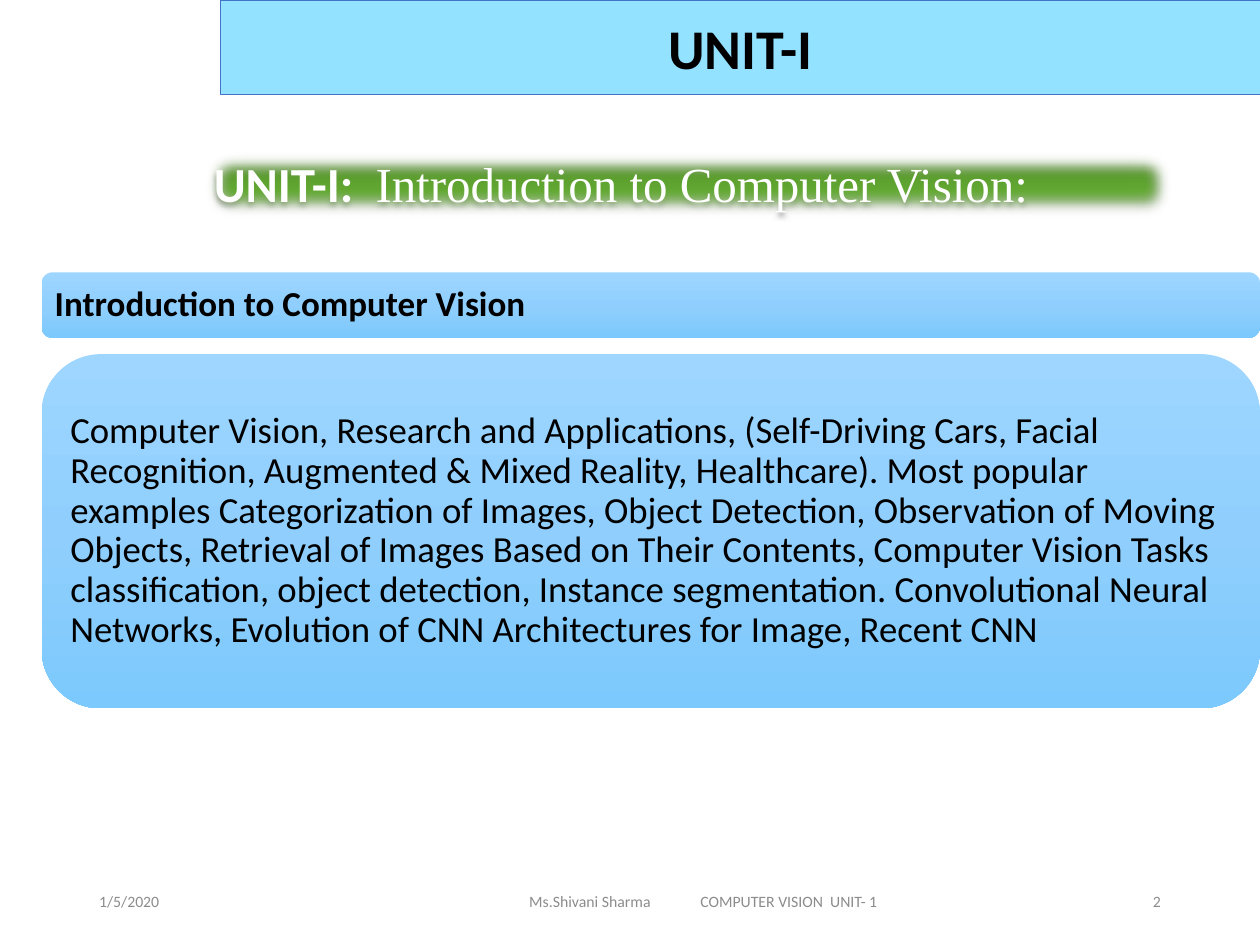
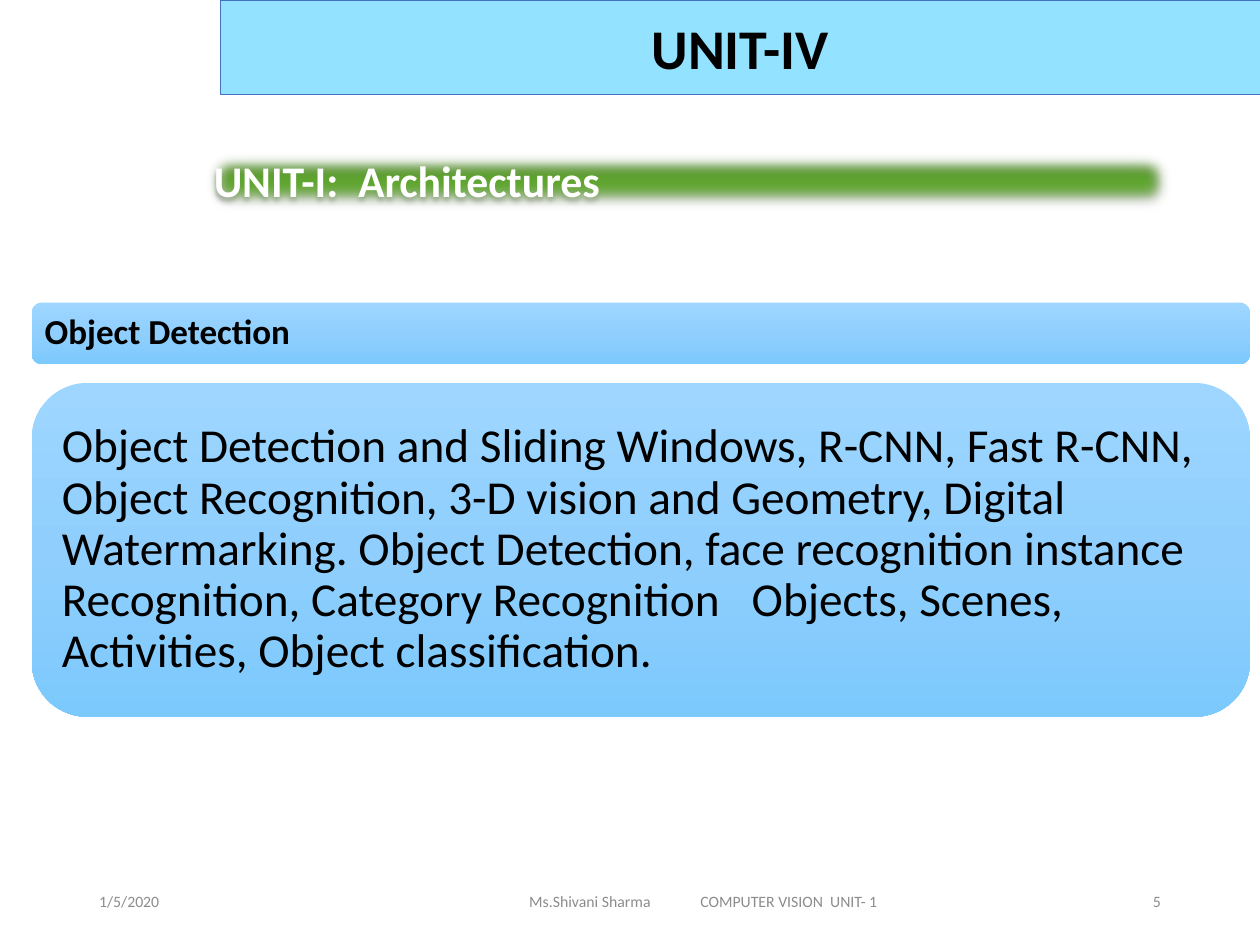
from lxml.etree import SubElement
from pptx import Presentation
from pptx.dml.color import RGBColor
from pptx.enum.shapes import MSO_SHAPE
from pptx.enum.text import MSO_ANCHOR, MSO_AUTO_SIZE, PP_ALIGN
from pptx.oxml.ns import qn
from pptx.util import Cm, Pt

# Shared colours and fonts
BLACK = RGBColor(0x00, 0x00, 0x00)
WHITE = RGBColor(0xFF, 0xFF, 0xFF)
GREY = RGBColor(0x8C, 0x8C, 0x8C)
TITLE_FILL = RGBColor(0x93, 0xE2, 0xFF)
TITLE_LINE = RGBColor(0x44, 0x72, 0xC4)
GREEN_STOPS = [(0, RGBColor(0x4D, 0x85, 0x27)), (80, RGBColor(0x6A, 0xB6, 0x36)),
               (100, RGBColor(0x6A, 0xBA, 0x34))]
BLUE_STOPS = [(0, RGBColor(0x9E, 0xD6, 0xFF)), (50, RGBColor(0x90, 0xCF, 0xFD)),
              (100, RGBColor(0x7C, 0xC9, 0xFD))]
SANS, SERIF = "Calibri", "Times New Roman"

DATE = "1/5/2020"
FOOTER = "Ms.Shivani Sharma\tCOMPUTER VISION  UNIT- 1"


def add_text(sp, text, size, color=BLACK, bold=False, font=SANS,
             align=PP_ALIGN.LEFT, anchor=MSO_ANCHOR.MIDDLE, spacing=None, inset=None):
    """Append a run to the first paragraph of sp and format it."""
    tf = sp.text_frame
    tf.word_wrap = True
    tf.auto_size = MSO_AUTO_SIZE.NONE
    tf.vertical_anchor = anchor
    if inset is not None:
        tf.margin_left = tf.margin_right = tf.margin_top = tf.margin_bottom = Cm(inset)
    p = tf.paragraphs[0]
    p.alignment = align
    if spacing:
        p.line_spacing = spacing
    r = p.add_run()
    r.text = text
    r.font.size, r.font.bold, r.font.name = Pt(size), bold, font
    r.font.color.rgb = color


def add_gradient_shape(slide, kind, box, stops):
    """Add a borderless shape filled from top to bottom."""
    sp = slide.shapes.add_shape(kind, *map(Cm, box))
    sp.shadow.inherit = False
    sp.line.fill.background()
    sp.fill.gradient()
    sp.fill.gradient_angle = 270
    gs_lst = sp._element.spPr.find(qn("a:gradFill")).find(qn("a:gsLst"))
    for gs in list(gs_lst):
        gs_lst.remove(gs)
    for pos, color in stops:
        gs = SubElement(gs_lst, qn("a:gs"), pos=str(pos * 1000))
        SubElement(gs, qn("a:srgbClr"), val=str(color))
    return sp


def add_title(slide, text, box):
    sp = slide.shapes.title
    sp.left, sp.top, sp.width, sp.height = map(Cm, box)
    sp.fill.solid()
    sp.fill.fore_color.rgb = TITLE_FILL
    sp.line.color.rgb = TITLE_LINE
    sp.line.width = Pt(0.5)
    add_text(sp, text, 32, bold=True, align=PP_ALIGN.CENTER)


def add_topic_band(slide, runs, size, box, align):
    """Green band with soft edges and a slight shadow; runs are (text, format)."""
    sp = add_gradient_shape(slide, MSO_SHAPE.RECTANGLE, box, GREEN_STOPS)
    effects = sp._element.spPr.find(qn("a:effectLst"))
    shadow = SubElement(effects, qn("a:outerShdw"), blurRad=str(Pt(3.1)),
                        dist=str(Pt(1.8)), dir="5400000", rotWithShape="0")
    color = SubElement(shadow, qn("a:srgbClr"), val=str(BLACK))
    SubElement(color, qn("a:alpha"), val="35000")
    SubElement(effects, qn("a:softEdge"), rad=str(Pt(9)))
    for text, fmt in runs:
        add_text(sp, text, size, color=WHITE, align=align, anchor=MSO_ANCHOR.TOP, **fmt)


def add_cards(slide, heading, body, body_size, box, heading_h, gap, inset):
    """Heading card on top; the body card takes the rest of the box."""
    left, top, width, height = box
    used = heading_h + gap
    sp = add_gradient_shape(slide, MSO_SHAPE.ROUNDED_RECTANGLE,
                            (left, top, width, heading_h), BLUE_STOPS)
    add_text(sp, heading, 20, bold=True, spacing=0.9, inset=0.2)
    sp = add_gradient_shape(slide, MSO_SHAPE.ROUNDED_RECTANGLE,
                            (left, top + used, width, height - used), BLUE_STOPS)
    add_text(sp, body, body_size, spacing=0.9, inset=inset)


def add_footer(slide, number, top=17.65, height=1.02):
    parts = [(DATE, 1.75, 5.72, PP_ALIGN.LEFT),
             (FOOTER, 8.05, 12.27, PP_ALIGN.LEFT),
             (number, 17.93, 5.72, PP_ALIGN.RIGHT)]
    for text, left, width, align in parts:
        sp = slide.shapes.add_textbox(Cm(left), Cm(top), Cm(width), Cm(height))
        if text == FOOTER:
            # Author and course stand apart by a tab stop
            sp.text_frame.margin_left = Cm(2.62)
            pPr = sp.text_frame.paragraphs[0]._p.get_or_add_pPr()
            tabs = SubElement(pPr, qn("a:tabLst"))
            SubElement(tabs, qn("a:tab"), pos=str(Cm(3.45)), algn="l")
        add_text(sp, text, 9, color=GREY, align=align)


def add_unit_slide(prs, title, number, topic, cards):
    slide = prs.slides.add_slide(prs.slide_layouts[5])
    add_footer(slide, number)
    add_title(slide, title, (4.45, 0, 20.95, 1.91))
    add_topic_band(slide, **topic)
    add_cards(slide, **cards)


def main():
    prs = Presentation()
    prs.slide_width, prs.slide_height = Cm(25.4), Cm(19.05)

    # Introduction
    add_unit_slide(
        prs, "UNIT-I", "2",
        topic=dict(runs=[("UNIT-I:  ", dict(bold=True)),
                         ("Introduction to Computer Vision:", dict(font=SERIF))],
                   size=28, box=(4.06, 2.97, 19.63, 1.45), align=PP_ALIGN.JUSTIFY),
        cards=dict(heading="Introduction to Computer Vision",
                   body="Computer Vision, Research and Applications, (Self-Driving Cars, "
                        "Facial Recognition, Augmented & Mixed Reality, Healthcare). Most "
                        "popular examples Categorization of Images, Object Detection, "
                        "Observation of Moving Objects, Retrieval of Images Based on Their "
                        "Contents, Computer Vision Tasks classification, object detection, "
                        "Instance segmentation. Convolutional Neural Networks, Evolution of "
                        "CNN Architectures for Image, Recent CNN",
                   body_size=21, box=(0.84, 5.49, 24.56, 8.79),
                   heading_h=1.32, gap=0.33, inset=0.23))

    # Architectures
    add_unit_slide(
        prs, "UNIT-IV", "5",
        topic=dict(runs=[("UNIT-I:  Architectures", dict(bold=True))],
                   size=25, box=(4.06, 2.97, 19.63, 1.32), align=PP_ALIGN.LEFT),
        cards=dict(heading="Object Detection",
                   body="Object Detection and Sliding Windows, R-CNN, Fast R-CNN, Object "
                        "Recognition, 3-D vision and Geometry, Digital Watermarking. Object "
                        "Detection, face recognition instance Recognition, Category "
                        "Recognition   Objects, Scenes, Activities, Object classification.",
                   body_size=27, box=(0.64, 6.1, 24.56, 8.35),
                   heading_h=1.24, gap=0.38, inset=0.28))

    prs.save("out.pptx")


if __name__ == "__main__":
    main()
